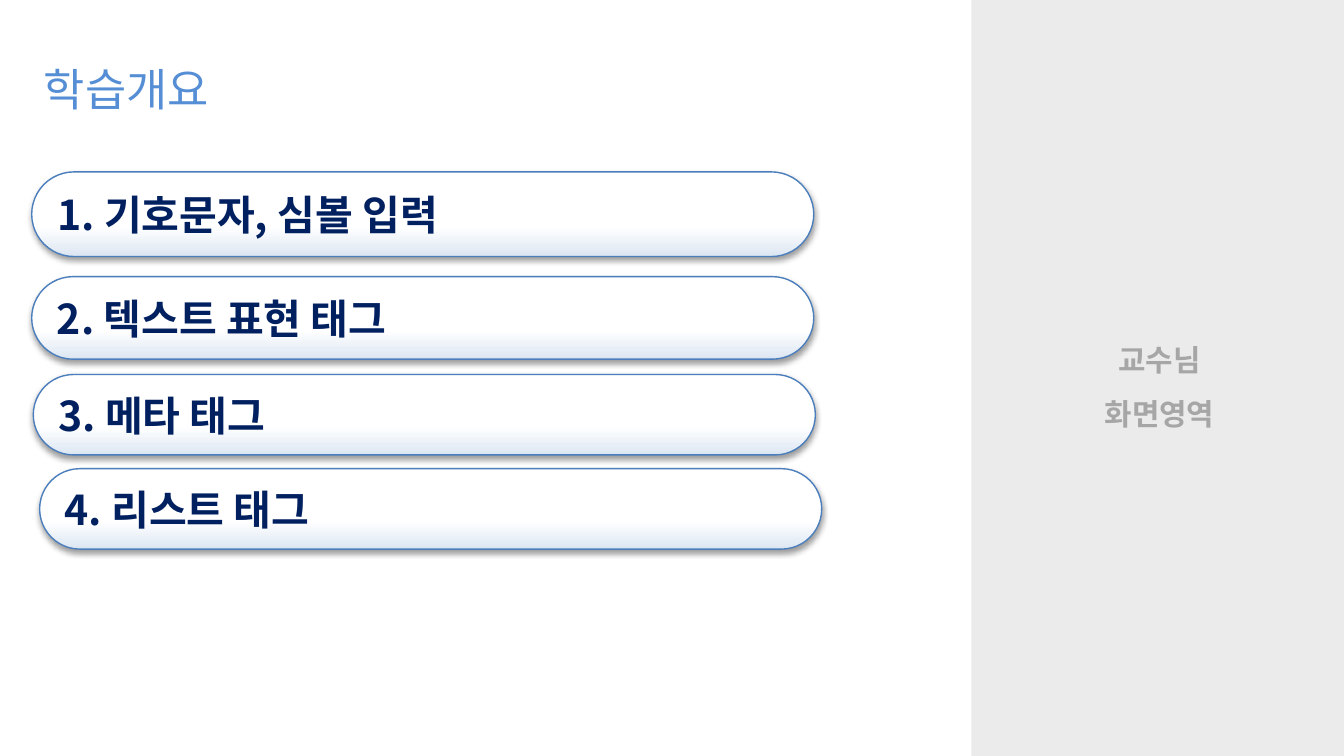
"""Build the learning overview slide with four topic pills and a speaker panel."""
from lxml import etree
from pptx import Presentation
from pptx.dml.color import RGBColor
from pptx.enum.shapes import MSO_SHAPE
from pptx.enum.text import MSO_ANCHOR, MSO_AUTO_SIZE, PP_ALIGN
from pptx.oxml import parse_xml
from pptx.oxml.ns import nsdecls, qn
from pptx.util import Cm, Pt

RECTANGLE = MSO_SHAPE.RECTANGLE
PILL = MSO_SHAPE.ROUNDED_RECTANGLE
MIDDLE = MSO_ANCHOR.MIDDLE
FIT_SHAPE = MSO_AUTO_SIZE.SHAPE_TO_FIT_TEXT
LEFT, CENTER = PP_ALIGN.LEFT, PP_ALIGN.CENTER

COLORS = {
    "panel": "D9D9D9",
    "panel_text": "A6A6A6",
    "title": "558ED5",
    "pill_base": "DCE6F2",
    "pill_top": "FFFFFF",
    "pill_line": "4B7EBC",
    "pill_text": "002060",
    "shadow": "000000",
}
KOREAN_FONT = "Noto Sans CJK KR"


def color(name):
    return RGBColor.from_string(COLORS[name])


def write(shape, text, font, size, color_name, bold=False, align=LEFT, spacing=1.0):
    shape.text_frame.word_wrap = True
    shape.text_frame.text = text
    for para in shape.text_frame.paragraphs:
        para.alignment = align
        para.line_spacing = spacing
        for span in para.runs:
            span.font.size = Pt(size)
            span.font.bold = bold
            span.font.color.rgb = color(color_name)
            span.font.name = font
            east_asian = etree.SubElement(span.font._element, qn("a:ea"))
            east_asian.set("typeface", KOREAN_FONT)


deck = Presentation()
deck.slide_width, deck.slide_height = Cm(25.4), Cm(14.29)
page = deck.slides.add_slide(deck.slide_layouts[6])

panel = page.shapes.add_shape(RECTANGLE, Cm(18.36), Cm(0), Cm(7.11), Cm(14.29))
panel.shadow.inherit = False
panel.fill.solid()
panel.fill.fore_color.rgb = color("panel")
panel_color = panel._element.spPr.find(qn("a:solidFill"))[0]
etree.SubElement(panel_color, qn("a:alpha")).set("val", "50000")
panel.line.fill.background()
panel.text_frame.vertical_anchor = MIDDLE
write(panel, "교수님\n화면영역", "Arial", 16, "panel_text", True, CENTER, 1.5)

title = page.shapes.add_textbox(Cm(0.58), Cm(0.94), Cm(16.97), Cm(1.3))
title.text_frame.auto_size = FIT_SHAPE
write(title, "학습개요", KOREAN_FONT, 24, "title", spacing=1.1)

topics = [
    ("1. 기호문자, 심볼 입력", 0.6, 3.25, 1.6),
    ("2. 텍스트 표현 태그", 0.6, 5.23, 1.56),
    ("3. 메타 태그", 0.63, 7.08, 1.52),
    ("4. 리스트 태그", 0.75, 8.86, 1.52),
]
for topic, left, top, height in topics:
    pill = page.shapes.add_shape(PILL, Cm(left), Cm(top), Cm(14.78), Cm(height))
    pill.adjustments[0] = 0.5
    pill.fill.gradient()
    pill.fill.gradient_angle = 90
    stops = zip(pill.fill.gradient_stops, ("pill_base", "pill_top"), (0, 0.35))
    for stop, stop_color, position in stops:
        stop.color.rgb = color(stop_color)
        stop.position = position
    pill.line.color.rgb = color("pill_line")
    pill.line.width = Pt(0.75)
    pill.shadow.inherit = False
    pill._element.spPr.find(qn("a:effectLst")).append(parse_xml(
        f'<a:outerShdw {nsdecls("a")} blurRad="{Pt(3.1)}" dist="{Pt(1.6)}" '
        f'dir="5400000" rotWithShape="0"><a:srgbClr val="{COLORS["shadow"]}">'
        '<a:alpha val="38000"/></a:srgbClr></a:outerShdw>'))
    pill.text_frame.vertical_anchor = MIDDLE
    write(pill, topic, KOREAN_FONT, 22, "pill_text", True)

deck.save("out.pptx")
